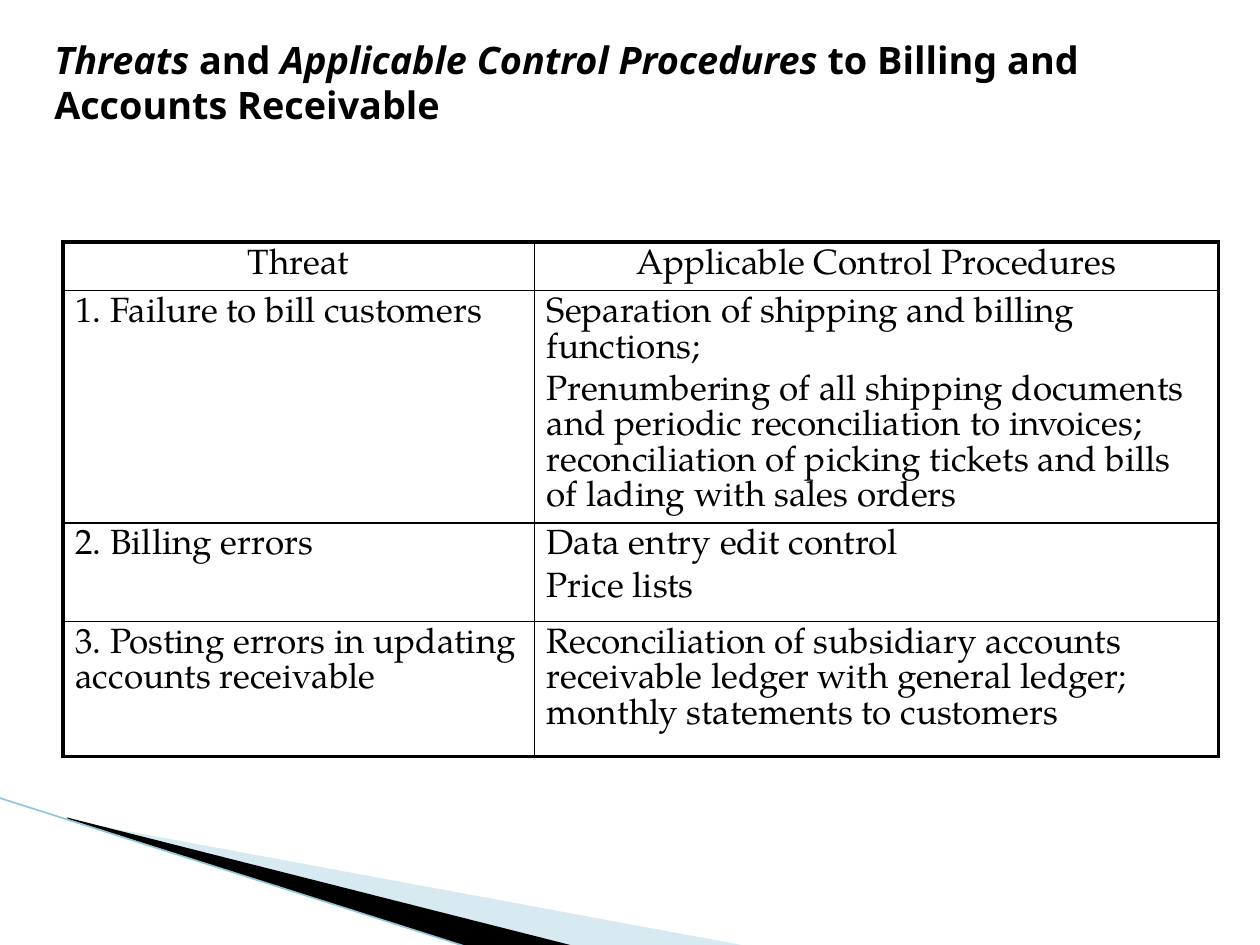
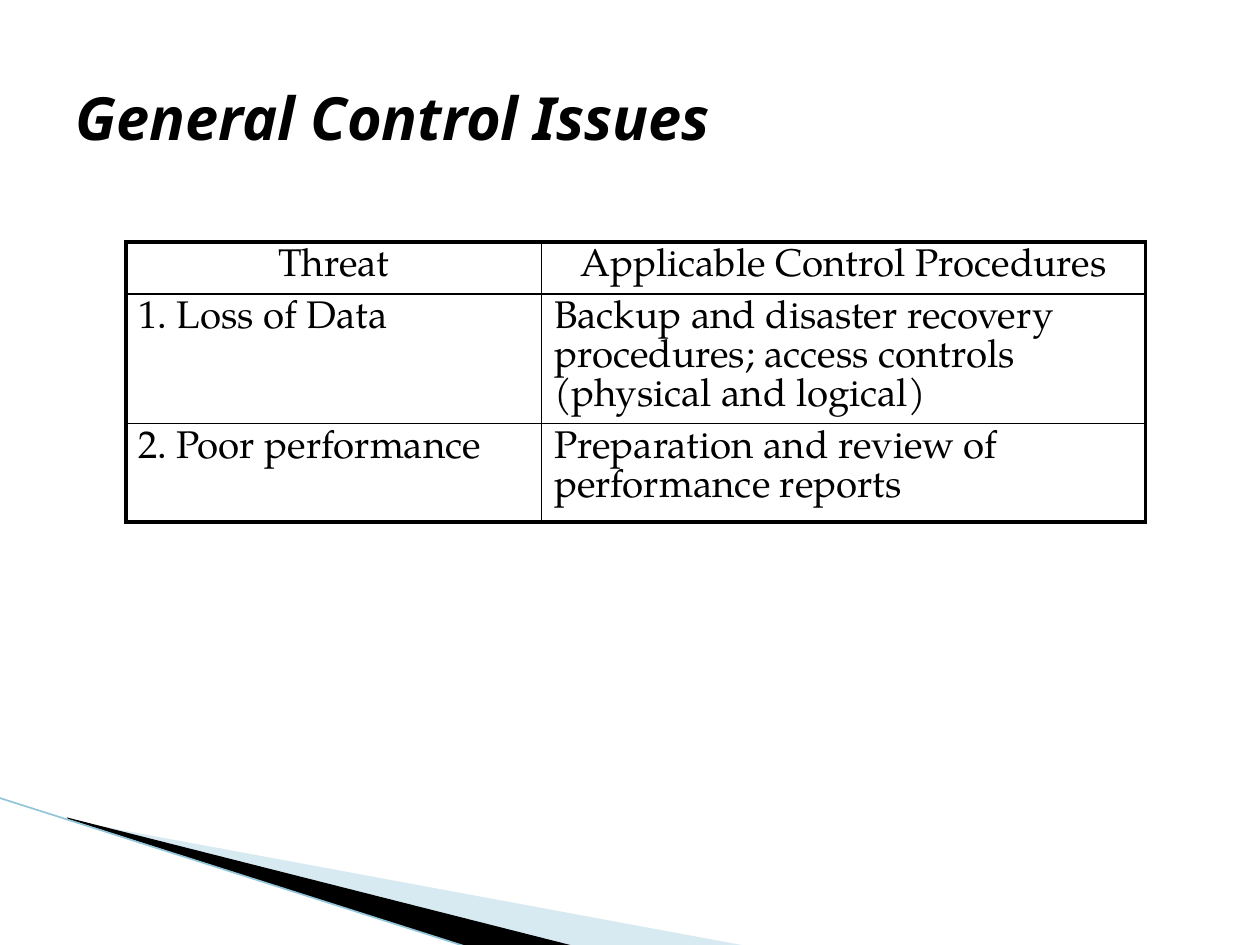
from lxml import etree
from pptx import Presentation
from pptx.dml.color import RGBColor
from pptx.enum.shapes import MSO_CONNECTOR
from pptx.enum.text import MSO_ANCHOR, MSO_AUTO_SIZE, PP_ALIGN
from pptx.oxml.ns import qn
from pptx.util import Cm, Pt

BLACK = RGBColor(0, 0, 0)
PALE = RGBColor(0x9C, 0xCA, 0xDC)
SKY = RGBColor(0x93, 0xC5, 0xD8)
HEAD = "Noto Sans"
BODY = "TeX Gyre Pagella"
LEFT, CENTER = PP_ALIGN.LEFT, PP_ALIGN.CENTER
MIDDLE = MSO_ANCHOR.MIDDLE
NO_FIT = MSO_AUTO_SIZE.NONE
STRAIGHT = MSO_CONNECTOR.STRAIGHT
THICK, THIN = 2.25, 1
HEADER = ["Threat"], ["Applicable Control Procedures"]


def add_run(para, text, font, size, bold=False, italic=False):
    run = para.add_run()
    run.text = text
    run.font.name = font
    run.font.size = Pt(size)
    run.font.bold = bold
    run.font.italic = italic
    run.font.color.rgb = BLACK


def add_wedge(slide, points, color, alpha=None):
    points = [(Cm(x), Cm(y)) for x, y in points]
    pen = slide.shapes.build_freeform(*points[0])
    pen.add_line_segments(points[1:], close=True)
    wedge = pen.convert_to_shape()
    wedge.shadow.inherit = False
    wedge.fill.solid()
    wedge.fill.fore_color.rgb = color
    wedge.line.fill.background()
    if alpha:
        tint = wedge.element.spPr.find(".//" + qn("a:srgbClr"))
        etree.SubElement(tint, qn("a:alpha")).set("val", str(alpha * 1000))
    return wedge


def add_line(slide, start, end):
    x, y = start
    line = slide.shapes.add_connector(STRAIGHT, Cm(x), Cm(y), Cm(end[0]), Cm(end[1]))
    line.line.color.rgb = SKY
    line.line.width = Pt(0.95)
    etree.SubElement(line.element.spPr, qn("a:effectLst"))
    return line


def dress_layout(layout, slide):
    parts = [
        add_wedge(slide, [(1.4, 16.54), (15.11, 19.08), (11.58, 19.08), (1.4, 16.51)], PALE, 40),
        add_wedge(slide, [(1.35, 16.48), (11.61, 19.08), (9.45, 19.1), (1.37, 16.51)], BLACK),
        add_line(slide, (-0.03, 16.08), (9.45, 19.1)),
    ]
    for part in parts:
        layout.element.cSld.spTree.append(part.element)


def set_title(slide, left, top, size, lines, pitch=None):
    title = slide.shapes.title
    title.left, title.top = Cm(left), Cm(top)
    title.width, title.height = Cm(22.86), Cm(3.18)
    frame = title.text_frame
    frame.auto_size = NO_FIT
    frame.word_wrap = True
    frame.vertical_anchor = MIDDLE
    para = frame.paragraphs[0]
    para.alignment = LEFT
    if pitch:
        para.line_spacing = Pt(pitch)
    for i, line in enumerate(lines):
        if i:
            para.add_line_break()
        for text, italic in line:
            add_run(para, text, HEAD, size, True, italic)


def set_border(cell, sides):
    props = cell._tc.get_or_add_tcPr()
    for side, width in sides.items():
        edge = etree.SubElement(props, qn("a:ln" + side), w=str(Pt(width)))
        fill = etree.SubElement(edge, qn("a:solidFill"))
        etree.SubElement(fill, qn("a:srgbClr"), val=str(BLACK))


def fill_cell(cell, texts, size, align):
    cell.margin_left = cell.margin_right = Cm(0.25)
    cell.margin_top = cell.margin_bottom = Cm(0.13)
    frame = cell.text_frame
    for i, text in enumerate(texts):
        para = frame.add_paragraph() if i else frame.paragraphs[0]
        para.alignment = align
        para.line_spacing = Pt(round(size * 1.01, 1))
        if i:
            para.space_before = Pt(4)
        add_run(para, text, BODY, size)


def add_grid(slide, left, widths, heights, size, body):
    rows = [HEADER] + body
    frame = slide.shapes.add_table(
        len(rows), len(widths), Cm(left), Cm(4.88), Cm(sum(widths)), Cm(sum(heights)))
    table = frame.table
    table.first_row = table.horz_banding = False
    for col, width in zip(table.columns, widths):
        col.width = Cm(width)
    for row, height in zip(table.rows, heights):
        row.height = Cm(height)
    for r, row in enumerate(rows):
        for c, texts in enumerate(row):
            cell = table.cell(r, c)
            fill_cell(cell, texts, size, LEFT if r else CENTER)
            set_border(cell, {
                "L": THIN if c else THICK,
                "R": THICK if c == len(widths) - 1 else THIN,
                "T": THIN if r else THICK,
                "B": THICK if r == len(rows) - 1 else THIN,
            })
            cell.fill.background()


def main():
    deck = Presentation()
    deck.slide_width, deck.slide_height = Cm(25.4), Cm(19.05)
    layout = deck.slide_layouts[5]

    billing = deck.slides.add_slide(layout)
    dress_layout(layout, billing)
    set_title(billing, 0.84, 0.06, 21.6, [
        [("Threats ", True), ("and ", False),
         ("Applicable Control Procedures ", True), ("to Billing and ", False)],
        [("Accounts Receivable", False)],
    ], 25.7)
    add_grid(billing, 1.27, [9.5, 13.79], [0.98, 4.65, 1.99, 2.72], 20, [
        (["1. Failure to bill customers"],
         ["Separation of shipping and billing functions;",
          "Prenumbering of all shipping documents and periodic reconciliation to invoices; "
          "reconciliation of picking tickets and bills of lading with sales orders"]),
        (["2. Billing errors"], ["Data entry edit control", "Price lists"]),
        (["3. Posting errors in updating accounts receivable"],
         ["Reconciliation of subsidiary accounts receivable ledger with general ledger; "
          "monthly statements to customers"]),
    ])

    general = deck.slides.add_slide(layout)
    set_title(general, 1.27, 0.76, 34, [[("General Control Issues", True)]])
    add_grid(general, 2.54, [8.38, 12.17], [1.05, 2.58, 1.98], 22, [
        (["1. Loss of Data"],
         ["Backup and disaster recovery procedures; access controls (physical and logical)"]),
        (["2. Poor performance"], ["Preparation and review of performance reports"]),
    ])

    deck.save("out.pptx")


if __name__ == "__main__":
    main()
